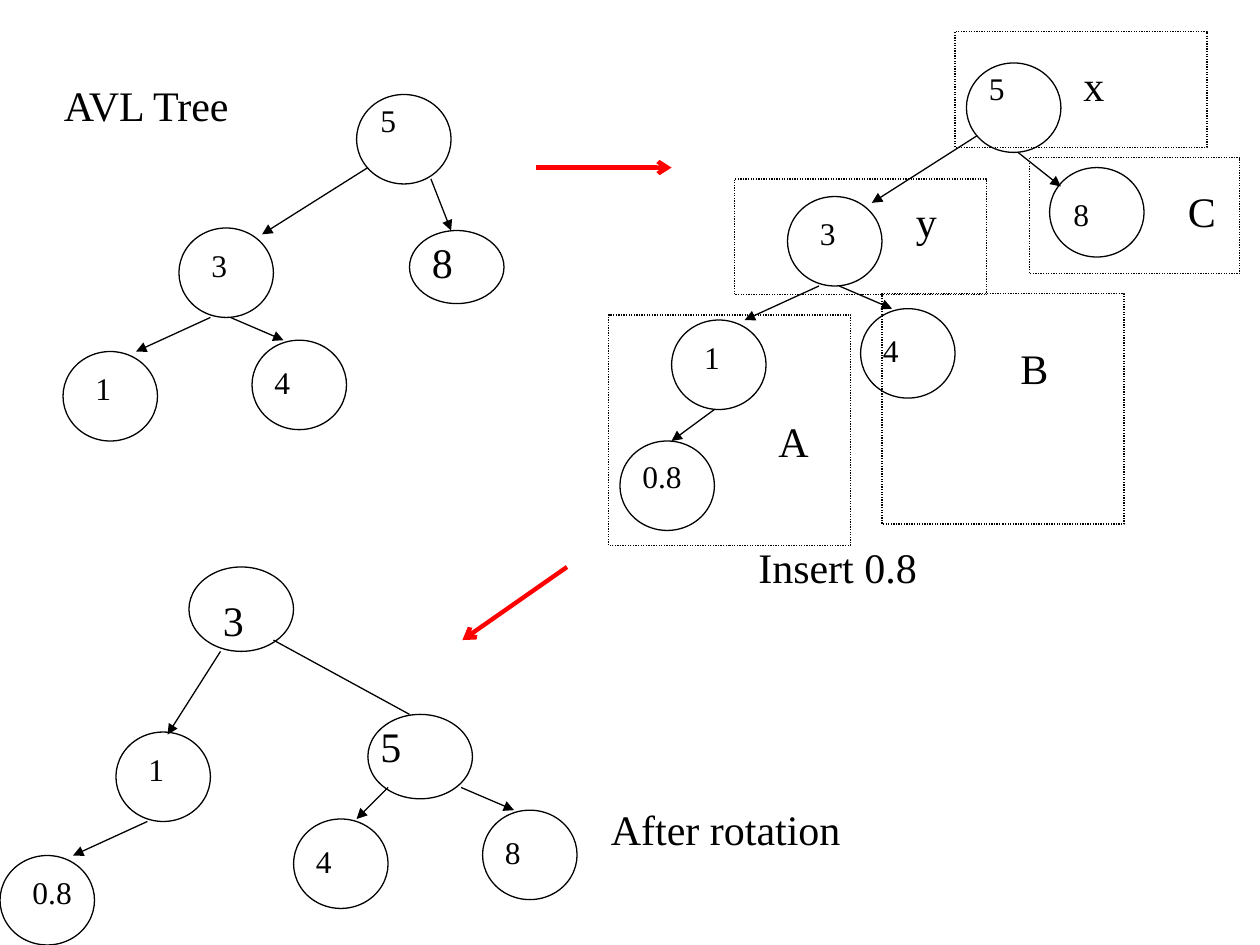
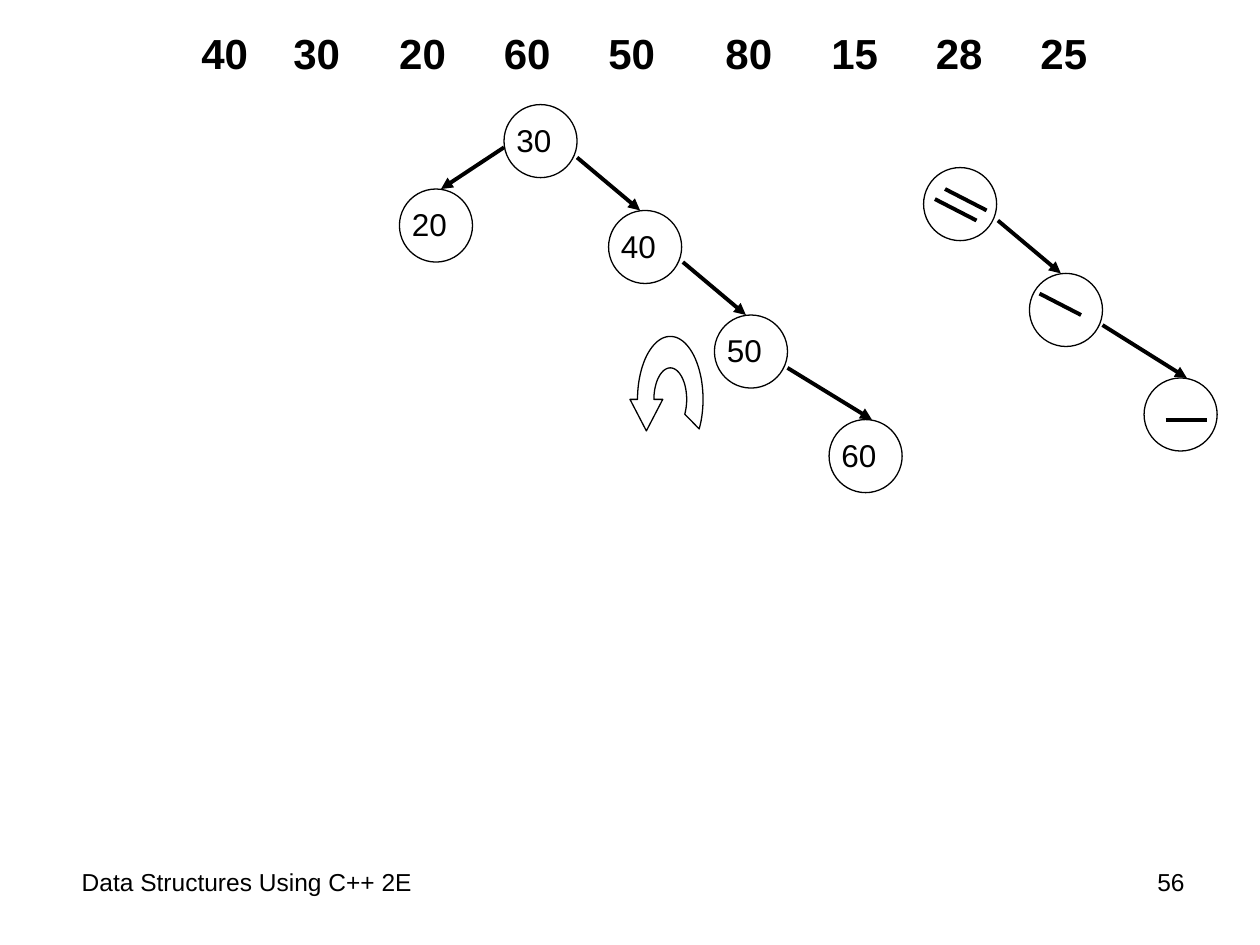
"""Builds two slides on AVL tree insertion and rotation."""
from dataclasses import dataclass
from math import cos, radians, sin

from lxml.etree import SubElement
from pptx import Presentation
from pptx.dml.color import RGBColor
from pptx.enum.dml import MSO_LINE
from pptx.enum.shapes import MSO_CONNECTOR, MSO_SHAPE
from pptx.enum.text import PP_ALIGN
from pptx.oxml.ns import qn
from pptx.util import Inches, Pt


@dataclass(frozen=True)
class Theme:
    """Colours, fonts, type sizes and line widths."""
    ink: RGBColor = RGBColor(0, 0, 0)
    paper: RGBColor = RGBColor(255, 255, 255)
    step: RGBColor = RGBColor(255, 0, 0)
    serif: str = "Times New Roman"
    sans: str = "Arial"
    large: int = 24
    normal: int = 18
    small: int = 14
    thin: float = 0.75
    thick: float = 2.25
    heavy: float = 2.5


THEME = Theme()
NODE_WIDTH, NODE_HEIGHT = 0.75, 0.71
DISC = 0.58


def add_label(page, left, top, text, width=1.0, size=THEME.normal, font=THEME.serif,
              bold=False, align=PP_ALIGN.LEFT, stops=()):
    """Add one line of text, with optional tab stops in inches."""
    height = 0.5 if size == THEME.large else 0.4
    box = page.shapes.add_textbox(Inches(left), Inches(top), Inches(width), Inches(height))
    box.text_frame.word_wrap = True
    para = box.text_frame.paragraphs[0]
    para.alignment = align
    if stops:
        tabs = SubElement(para._p.get_or_add_pPr(), qn("a:tabLst"))
        for stop in stops:
            SubElement(tabs, qn("a:tab"), pos=str(Inches(stop)), algn="l")
    span = para.add_run()
    span.text = text
    span.font.name = font
    span.font.size = Pt(size)
    span.font.bold = bold
    span.font.color.rgb = THEME.ink


def style_outline(shape, filled):
    """Give a shape a thin dark outline and a plain or empty inside."""
    shape.shadow.inherit = False
    if filled:
        shape.fill.solid()
        shape.fill.fore_color.rgb = THEME.paper
    else:
        shape.fill.background()
    shape.line.color.rgb = THEME.ink
    shape.line.width = Pt(THEME.thin)


def add_outline(page, kind, left, top, width, height, filled=False):
    """Add an outlined preset shape."""
    shape = page.shapes.add_shape(kind, Inches(left), Inches(top), Inches(width), Inches(height))
    style_outline(shape, filled)
    return shape


def add_line(page, start, end, head="triangle", color=THEME.ink, width=THEME.thin):
    """Add a straight line, with an arrowhead at its end unless head is None."""
    points = [Inches(value) for value in (*start, *end)]
    line = page.shapes.add_connector(MSO_CONNECTOR.STRAIGHT, *points)
    line.line.color.rgb = color
    line.line.width = Pt(width)
    if head:
        SubElement(line.line._get_or_add_ln(), qn("a:tailEnd"), type=head)
    SubElement(line._element.spPr, qn("a:effectLst"))


def add_node(page, left, top, value, shift=(0.08, 0.13), width=NODE_WIDTH,
             height=NODE_HEIGHT, size=THEME.normal):
    """Add an oval tree node with its value set off from its corner."""
    add_outline(page, MSO_SHAPE.OVAL, left, top, width, height)
    add_label(page, left + shift[0], top + shift[1], value, size=size)


def add_left_pair(page, left, top, parent, child):
    """Add a parent node and its left child."""
    shift = (0.16, 0.09)
    add_node(page, left, top, parent, shift)
    add_node(page, left - 0.92, top + 0.98, child, shift)
    add_line(page, (left + 0.25, top + 0.71), (left - 0.34, top + 0.98))


def add_right_child(page, left, top, value):
    """Add the right child of the parent at the given corner."""
    add_node(page, left + 0.58, top + 0.89, value)
    add_line(page, (left + 0.41, top + 0.71), (left + 0.83, top + 0.89))


def add_subtree_frame(page, left, top, width, height, name, shift):
    """Add a dotted frame around a part of the tree, with its letter."""
    frame = add_outline(page, MSO_SHAPE.RECTANGLE, left, top, width, height)
    frame.line.dash_style = MSO_LINE.ROUND_DOT
    add_label(page, left + shift[0], top + shift[1], name, 0.67, THEME.large)


def add_disc(page, left, top, value=None):
    """Add a small round node, with its value if it has one."""
    add_outline(page, MSO_SHAPE.OVAL, left, top, DISC, DISC, filled=True)
    if value:
        add_label(page, left, top + 0.08, value, 0.55, font=THEME.sans)


def add_turn_arrow(page):
    """Add the block arrow that turns to the left."""
    center_x, center_y = 5.32, 3.17

    def arc(radius_x, radius_y, angles):
        return [(center_x + radius_x * cos(radians(angle)),
                 center_y + radius_y * sin(radians(angle))) for angle in angles]

    sweep = range(180, 389, 4)
    points = arc(0.13, 0.25, sweep) + arc(0.26, 0.5, reversed(sweep))
    points += [(5, 3.17), (5.13, 3.42), (5.26, 3.17)]
    corners = [(Inches(x), Inches(y)) for x, y in points]
    builder = page.shapes.build_freeform(*corners[0])
    builder.add_line_segments(corners[1:], close=True)
    style_outline(builder.convert_to_shape(), filled=True)


def build_rotation(page):
    """Show the tree before insertion, after it and after rotation."""
    add_label(page, 0.41, 0.58, "AVL Tree", 4, THEME.large)
    add_node(page, 2.83, 0.75, "5", (0.09, 0))
    add_node(page, 3.25, 1.83, "8", (0.08, 0), height=0.58, size=THEME.large)
    add_line(page, (2.92, 1.33), (2.08, 1.86))
    add_line(page, (3.42, 1.42), (3.58, 1.83))
    add_left_pair(page, 1.42, 1.81, "3", "1")
    add_right_child(page, 1.42, 1.81, "4")

    add_label(page, 5.92, 4.25, "Insert 0.8", 4.08, THEME.large)
    add_node(page, 7.67, 0.5, "5", (0.08, 0))
    add_node(page, 8.33, 1.33, "8", (0.09, 0.17))
    add_line(page, (7.75, 1.08), (6.92, 1.61))
    add_line(page, (8.08, 1.21), (8.42, 1.48))
    add_left_pair(page, 6.25, 1.56, "3", "1")
    add_right_child(page, 6.25, 1.56, "4")
    add_node(page, 4.92, 3.5, "0.8", (0.08, 0.08))
    add_line(page, (5.67, 3.25), (5.33, 3.5))
    for frame in (
        (7.58, 0.25, 2, 0.92, "x", (0.92, 0.17)),
        (5.83, 1.42, 2, 0.92, "y", (1.34, 0.08)),
        (4.83, 2.5, 1.92, 1.83, "A", (1.25, 0.75)),
        (7, 2.33, 1.92, 1.83, "B", (1, 0.34)),
        (8.17, 1.25, 1.67, 0.92, "C", (1.16, 0.17)),
    ):
        add_subtree_frame(page, *frame)

    add_label(page, 4.75, 6.33, "After rotation", 2.5, THEME.large)
    for left, top, value, shift in ((1.5, 4.5, "3", (0.17, 0.17)), (2.92, 5.67, "5", (0, 0))):
        add_node(page, left, top, value, shift, 0.83, 0.67, THEME.large)
    add_line(page, (2.17, 5.08), (3.25, 5.67), head=None)
    add_line(page, (1.75, 5.17), (1.33, 5.83))
    add_left_pair(page, 0.92, 5.81, "1", "0.8")
    add_node(page, 2.33, 6.5, "4")
    add_line(page, (3.08, 6.25), (2.83, 6.5))
    add_right_child(page, 3.25, 5.54, "8")

    for start, end in (((4.25, 1.33), (5.33, 1.33)), ((4.5, 4.5), (3.67, 5.08))):
        add_line(page, start, end, "arrow", THEME.step, THEME.heavy)


def build_insertion(page):
    """Show the keys to insert, the tree so far and its balance signs."""
    keys = ("40", "30", "20", "60", "50", "80", "15", "28", "25")
    stops = (0.73, 1.57, 2.4, 3.23, 4.16, 5, 5.83, 6.66)
    add_label(page, 1.5, 0.17, "\t".join(keys), 7.5, THEME.large, THEME.sans, True, stops=stops)

    for left, top, value in ((4, 0.83, "30"), (3.17, 1.5, "20"), (4.83, 1.67, "40"),
                             (5.67, 2.5, "50"), (6.58, 3.33, "60"),
                             (7.33, 1.33, None), (8.17, 2.17, None), (9.08, 3, None)):
        add_disc(page, left, top, value)
    add_turn_arrow(page)

    for start, end in (((4, 1.17), (3.5, 1.5)), ((4.58, 1.25), (5.08, 1.67)),
                       ((5.42, 2.08), (5.92, 2.5)), ((6.25, 2.92), (6.92, 3.33)),
                       ((7.92, 1.75), (8.42, 2.17)), ((8.75, 2.58), (9.42, 3))):
        add_line(page, start, end, width=THEME.thick)
    for left, top, drop in ((7.5, 1.5, 0.17), (7.42, 1.58, 0.17),
                            (8.25, 2.33, 0.17), (9.25, 3.33, 0)):
        add_line(page, (left, top), (left + 0.33, top + drop), None, width=THEME.thick)

    add_label(page, 0.55, 6.83, "Data Structures Using C++ 2E", 7.53, THEME.small, THEME.sans)
    add_label(page, 8.58, 6.83, "56", 0.92, THEME.small, THEME.sans, align=PP_ALIGN.RIGHT)


def main():
    """Build and save the deck."""
    deck = Presentation()
    deck.slide_width, deck.slide_height = Inches(10), Inches(7.5)
    for build in (build_rotation, build_insertion):
        build(deck.slides.add_slide(deck.slide_layouts[6]))
    deck.save("out.pptx")


if __name__ == "__main__":
    main()
